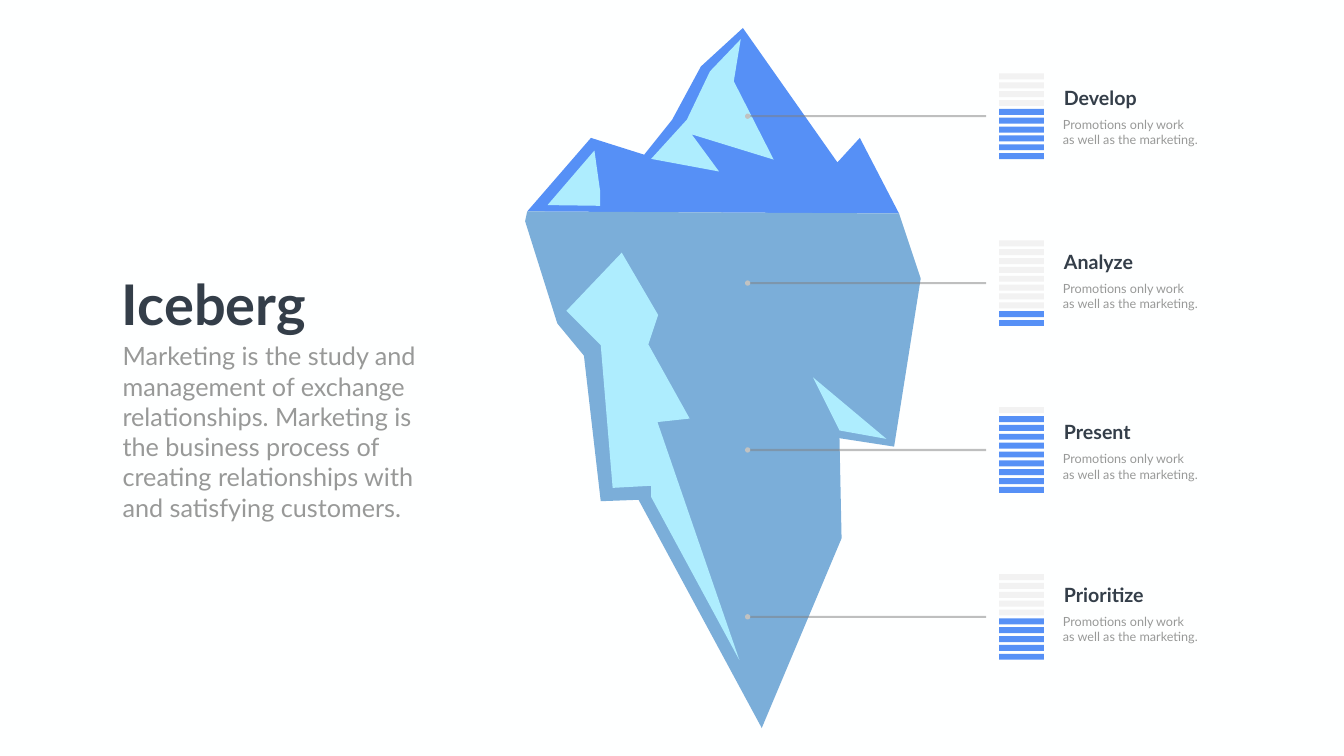
from lxml import etree
from pptx import Presentation, util as u
from pptx.dml.color import RGBColor
from pptx.enum import shapes, text
from pptx.oxml.ns import qn

Pt = u.Pt
FONT = "Lato"
HUES = {
    "back": "FEFFFF", "tip": "5690F6", "ice": "7BAED9", "glow": "AEEDFE",
    "empty": "F2F2F2", "line": "808080", "dot": "C1C2C1",
    "dark": "343E49", "grey": "989998",
}
TITLE = "Iceberg"
BODY = ("Marketing is the study and management of exchange relationships. "
        "Marketing is the business process of creating relationships with "
        "and satisfying customers.")
NOTE = ["Promotions only work", "as well as the marketing."]
STEPS = [
    ("Develop", 6, 119.5),
    ("Analyze", 2, 353.5),
    ("Present", 9, 597),
    ("Prioritize", 5, 829.5),
]
ICE = [
    ("tip", [(1284, 305), (1228, 197), (1196, 232), (1061, 40), (1001, 95),
             (960, 171), (920, 221), (844, 197), (753, 302)]),
    ("glow", [(1058, 56), (1014, 102), (981, 171), (930, 227), (1027, 245),
              (988, 192), (1105, 228), (1048, 116)]),
    ("glow", [(849, 215), (857, 272), (857, 294), (782, 293)]),
    ("ice", [(750, 316), (796, 462), (834, 508), (858, 716), (912, 714),
             (1088, 1040), (1202, 769), (1199, 626), (1277, 638),
             (1315, 398), (1284, 305), (753, 302)]),
    ("glow", [(809, 444), (858, 493), (875, 697), (930, 694), (930, 710),
              (1056, 943), (939, 603), (985, 598), (926, 492), (940, 450),
              (888, 361)]),
    ("glow", [(1199, 615), (1161, 539), (1266, 627)]),
]
BARS = 10
TOP, STEP = 105, 238.4
BAR_X, BAR_W, BAR_H, BAR_STEP = 1427, 63.8, 8.5, 12.65
LINE_X, LINE_END, LINE_DY, DOT = 1067.8, 1408.3, 61, 7.5


def rgb(hue):
    return RGBColor.from_string(HUES[hue])


def paint(shape, hue):
    shape.shadow.inherit = False
    shape.fill.solid()
    shape.fill.fore_color.rgb = rgb(hue)
    shape.line.fill.background()


def block(slide, kind, box, hue):
    paint(slide.shapes.add_shape(kind, *map(Pt, box)), hue)


def write(shape, box, lines, size, hue, bold=False, wrap=True):
    shape.left, shape.top, shape.width, shape.height = map(Pt, box)
    frame = shape.text_frame
    frame.text = "\n".join(lines)
    frame.word_wrap = wrap
    frame.auto_size = text.MSO_AUTO_SIZE.NONE
    frame.vertical_anchor = text.MSO_ANCHOR.TOP
    for para in frame.paragraphs:
        props = para._p.get_or_add_pPr()
        props.set("marL", "0")
        props.set("indent", "0")
        etree.SubElement(props, qn("a:buNone"))
        para.alignment = text.PP_ALIGN.LEFT
        para.space_before = Pt(0)
        font = para.font
        font.name, font.size, font.bold = FONT, Pt(size), bold
        font.color.rgb = rgb(hue)


def label(slide, *args):
    write(slide.shapes.add_textbox(0, 0, 0, 0), *args)


def lead(slide, y):
    line = slide.shapes.add_connector(
        shapes.MSO_CONNECTOR.STRAIGHT, Pt(LINE_X), Pt(y), Pt(LINE_END), Pt(y))
    line.line.width = Pt(3)
    line.line.color.rgb = rgb("line")
    tint = line._element.spPr.find(".//" + qn("a:srgbClr"))
    etree.SubElement(tint, qn("a:alpha"), val="50000")
    etree.SubElement(line._element.spPr, qn("a:effectLst"))
    block(slide, shapes.MSO_SHAPE.OVAL,
          (LINE_X - DOT / 2, y - DOT / 2, DOT, DOT), "dot")


def main():
    deck = Presentation()
    deck.slide_width, deck.slide_height = Pt(1919.52), Pt(1080)
    slide = deck.slides.add_slide(deck.slide_layouts[1])
    slide.background.fill.solid()
    slide.background.fill.fore_color.rgb = rgb("back")

    title, body = slide.placeholders
    write(title, (167, 381, 284, 104), [TITLE], 80, "dark", True, False)
    write(body, (167.8, 483, 471, 269), [BODY], 36, "grey")

    for hue, points in ICE:
        path = slide.shapes.build_freeform(*points[0], scale=Pt(1))
        path.add_line_segments(points[1:], close=True)
        paint(path.convert_to_shape(), hue)

    for row, (name, full, y) in enumerate(STEPS):
        top = TOP + row * STEP
        for bar in range(BARS):
            hue = "tip" if bar >= BARS - full else "empty"
            block(slide, shapes.MSO_SHAPE.RECTANGLE,
                  (BAR_X, top + bar * BAR_STEP, BAR_W, BAR_H), hue)
        lead(slide, top + LINE_DY)
        label(slide, (1512.5, y, 142, 41), [name], 28, "dark", True)
        label(slide, (1511, y + 44.3, 220, 51), NOTE, 18, "grey")

    deck.save("out.pptx")


if __name__ == "__main__":
    main()
